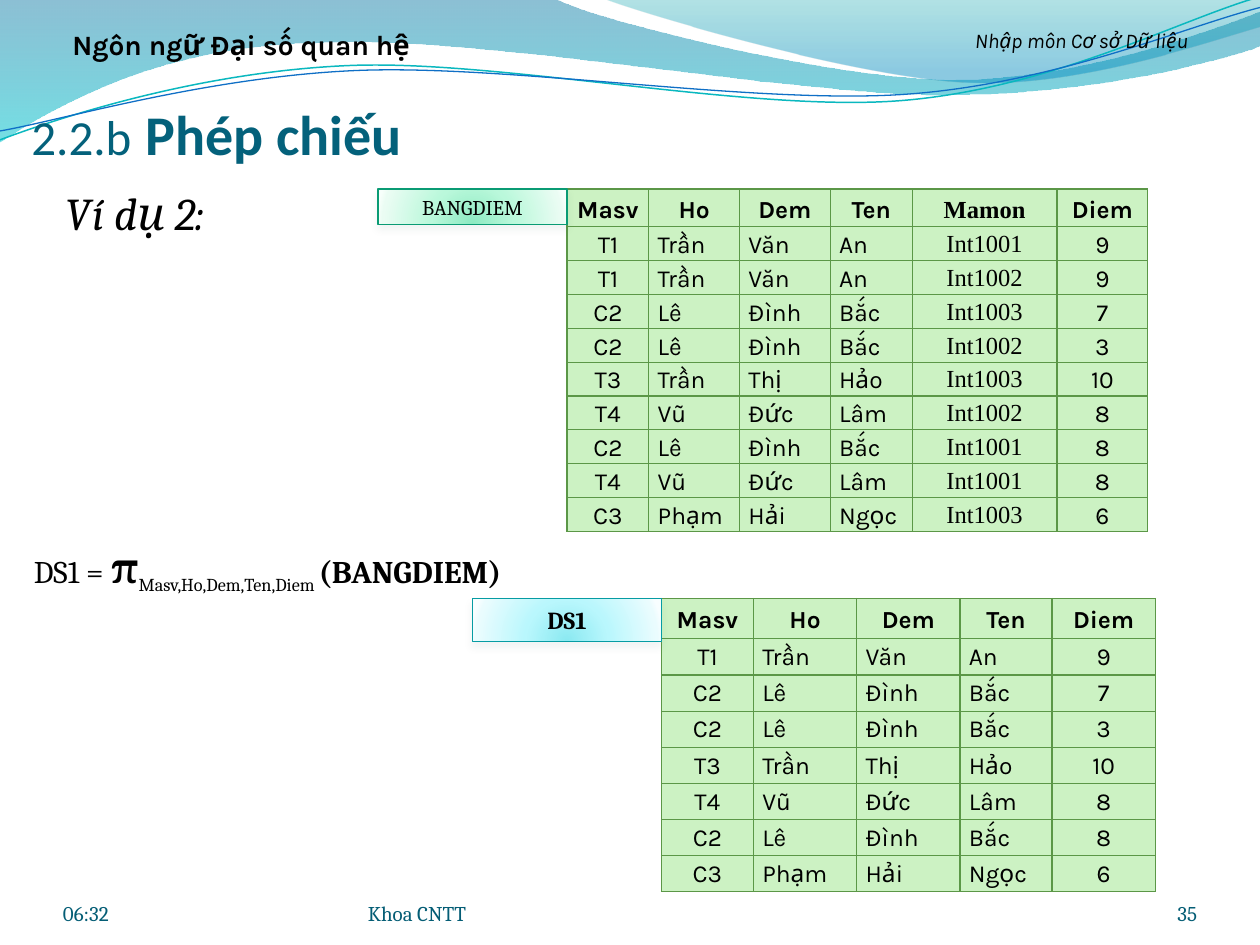
import math

import pptx
import pptx.dml.color
import pptx.enum.shapes
import pptx.enum.text
import pptx.oxml
import pptx.oxml.ns
import pptx.util

Inches, Pt = pptx.util.Inches, pptx.util.Pt
RGBColor = pptx.dml.color.RGBColor
ALIGN, ANCHOR = pptx.enum.text.PP_ALIGN, pptx.enum.text.MSO_ANCHOR
NS = pptx.oxml.ns.nsdecls("a")
qn = pptx.oxml.ns.qn

BLACK = RGBColor(0x00, 0x00, 0x00)
TITLE_TEAL = RGBColor(0x04, 0x61, 0x7B)
FOOTER_TEAL = RGBColor(0x04, 0x5D, 0x75)
CYAN_LINE = RGBColor(0x0A, 0xB8, 0xBF)
BLUE_LINE = RGBColor(0x0F, 0x6F, 0xC6)
CELL_GREEN = RGBColor(0xCC, 0xF2, 0xC3)
GRID_GREEN = RGBColor(0x5B, 0x97, 0x47)
LABEL_GREEN = RGBColor(0x0A, 0x9B, 0x74)
LABEL_CYAN = RGBColor(0x06, 0x9C, 0xA3)

# Wave steps: two numbers are a straight step, six are a cubic curve.
# Gradient stops: position %, colour, opacity %.
DOWN = '<a:lin ang="5400000" scaled="0"/>'
FROM_CENTRE = ('<a:path path="circle"><a:fillToRect l="50000" t="130000" '
               'r="50000" b="-30000"/></a:path>')
WAVE_BANDS = [
    ([(0, -0.01), (4.4, -0.01), (4.76, 0.17, 6.64, 0.63, 7.58, 0.63),
      (8.53, 0.63, 9.58, 0.26, 10, 0.09), (10.01, 0.36),
      (9.83, 0.44, 8.7, 0.76, 7.46, 0.75), (6.22, 0.75, 3.82, 0.28, 2.57, 0.34),
      (1.29, 0.35, 0.46, 0.83, -0.01, 1.13)],
     [(0, "0074A1", 45), (100, "00C6CF", 55)]),
    ([(4.79, -0.01), (5.09, 0.11, 6.82, 0.62, 7.69, 0.65),
      (8.56, 0.69, 9.61, 0.32, 10, 0.21), (10, 0)],
     [(0, "00A1A9", 30), (80, "008BBF", 45)]),
]
WAVE_TILT = 2.7
WAVE_LINES = [
    ([(0, 1.11), (0.48, 0.93, 1.58, 0.57, 2.77, 0.52),
      (3.95, 0.47, 5.93, 0.89, 7.13, 0.8), (8.33, 0.71, 9.38, 0.15, 9.98, -0.02)],
     (4.99, 0.58), CYAN_LINE, 0.85),
    ([(0, 1.04), (0.47, 0.96, 1.64, 0.61, 2.83, 0.56),
      (4.03, 0.51, 5.97, 0.83, 7.17, 0.75), (8.36, 0.67, 9.41, 0.21, 10, 0.06)],
     (5, 0.59), BLUE_LINE, 0.75),
]

# Runs: text, font, size, colour, styles (b bold, i italic, s subscript)
ALL_SIDES, NONE, TITLE_INSET = (0.1, 0.05, 0.1, 0.05), (0, 0, 0, 0), (0, 0.05, 0, 0)
TEXTS = [
    ((0.42, 1.42, 9.08, 5.58), ALIGN.LEFT, ANCHOR.TOP, ALL_SIDES,
     [("Ví dụ 2:", "Cambria", 26, BLACK, "i")]),
    ((0.5, 6.95, 2.33, 0.4), ALIGN.LEFT, ANCHOR.BOTTOM, NONE,
     [("06:32", "Cambria", 12, FOOTER_TEAL, "")]),
    ((8.67, 6.95, 0.83, 0.4), ALIGN.RIGHT, ANCHOR.BOTTOM, NONE,
     [("35", "Cambria", 12, FOOTER_TEAL, "")]),
    ((2.92, 6.95, 3.67, 0.4), ALIGN.LEFT, ANCHOR.BOTTOM, NONE,
     [("Khoa CNTT", "Cambria", 12, FOOTER_TEAL, "")]),
    ((7.17, 0.17, 2.83, 0.38), ALIGN.CENTER, ANCHOR.TOP, ALL_SIDES,
     [("Nhập môn Cơ sở Dữ liệu", "Karla", 12, BLACK, "i")]),
    ((0.25, 0.17, 3.33, 0.37), ALIGN.CENTER, ANCHOR.TOP, ALL_SIDES,
     [("Ngôn ngữ Đại số quan hệ", "Karla", 16, BLACK, "b")]),
    ((0.25, 0.75, 9.17, 0.58), ALIGN.LEFT, ANCHOR.BOTTOM, TITLE_INSET,
     [("2.2.b", "Calibri", 28, TITLE_TEAL, ""), (" ", "Calibri", 35, TITLE_TEAL, ""),
      ("Phép chiếu", "Calibri", 32, TITLE_TEAL, "b")]),
    ((0.17, 4.25, 4.42, 0.5), ALIGN.LEFT, ANCHOR.TOP, ALL_SIDES,
     [("DS1 = ", "Cambria", 18, BLACK, ""), ("π", "Cambria", 24, BLACK, "b"),
      ("Masv,Ho,Dem,Ten,Diem ", "Cambria", 18, BLACK, "s"),
      ("(BANGDIEM)", "Cambria", 18, BLACK, "b")]),
]

STUDENTS = {
    "T1": ("Trần", "Văn", "An"), "C2": ("Lê", "Đình", "Bắc"),
    "T3": ("Trần", "Thị", "Hảo"), "T4": ("Vũ", "Đức", "Lâm"),
    "C3": ("Phạm", "Hải", "Ngọc"),
}
MARKS = [("T1", "Int1001", "9"), ("T1", "Int1002", "9"), ("C2", "Int1003", "7"),
         ("C2", "Int1002", "3"), ("T3", "Int1003", "10"), ("T4", "Int1002", "8"),
         ("C2", "Int1001", "8"), ("T4", "Int1001", "8"), ("C3", "Int1003", "6")]
BANGDIEM = [("Masv", "Ho", "Dem", "Ten", "Mamon", "Diem")] + [
    (masv, *STUDENTS[masv], mamon, diem) for masv, mamon, diem in MARKS]
# The projection drops Mamon and keeps each distinct row once.
DS1 = list(dict.fromkeys(row[:4] + row[5:] for row in BANGDIEM))

# Left, top, column widths, header height, total height, rows
TABLES = [
    (4.5, 1.5, [0.65, 0.72, 0.72, 0.65, 1.15, 0.72], 0.3, 2.55, BANGDIEM),
    (5.25, 4.75, [0.73, 0.82, 0.82, 0.73, 0.82], 0.32, 2.33, DS1),
]
LABELS = [
    ((3, 1.5, 1.5, 0.28), LABEL_GREEN, "044A37",
     [(0, "8DEAC2", 100), (43, "BAF8DB", 100), (93, "EAFCF3", 100), (100, "F7FFFB", 100)],
     [("BANGDIEM", "Cambria", 12, BLACK, "")]),
    ((3.75, 4.75, 1.5, 0.34), LABEL_CYAN, "024B4E",
     [(0, "8BE9F1", 100), (43, "B9F7FD", 100), (93, "EAFCFE", 100), (100, "F8FEFF", 100)],
     [("DS1", "Cambria", 14, BLACK, "b")]),
]


def add_runs(paragraph, runs):
    for text, font, size, color, styles in runs:
        run = paragraph.add_run()
        run.text = text
        run.font.name, run.font.size = font, Pt(size)
        run.font.color.rgb = color
        run.font.bold, run.font.italic = "b" in styles, "i" in styles
        if "s" in styles:
            run.font._element.set("baseline", "-25000")


def fill_frame(frame, align, anchor, insets, runs):
    frame.word_wrap = True
    frame.vertical_anchor = anchor
    (frame.margin_left, frame.margin_top,
     frame.margin_right, frame.margin_bottom) = map(Inches, insets)
    frame.paragraphs[0].alignment = align
    add_runs(frame.paragraphs[0], runs)


def set_gradient(shape, stops, direction):
    shape.fill.background()
    stop_xml = "".join(
        f'<a:gs pos="{pos * 1000}"><a:srgbClr val="{color}">'
        f'<a:alpha val="{alpha * 1000}"/></a:srgbClr></a:gs>' for pos, color, alpha in stops)
    old_fill = shape._element.spPr.find(qn("a:noFill"))
    old_fill.getparent().replace(old_fill, pptx.oxml.parse_xml(
        f'<a:gradFill {NS} rotWithShape="1"><a:gsLst>{stop_xml}</a:gsLst>'
        f'{direction}</a:gradFill>'))


def add_wave(slide, steps, close, tilt=0, pivot=(0, 0)):
    """Draw the steps turned by tilt about pivot; the shape's rotation turns them back."""
    cos, sin = math.cos(math.radians(tilt)), math.sin(math.radians(tilt))
    points = []
    for step in steps:
        for x, y in zip(step[::2], step[1::2]):
            dx, dy = x - pivot[0], y - pivot[1]
            points.append((Inches(pivot[0] + dx * cos - dy * sin),
                           Inches(pivot[1] + dx * sin + dy * cos)))
    builder = slide.shapes.build_freeform(*points[0])
    builder.add_line_segments(points[1:], close=close)
    wave = builder.convert_to_shape()
    wave.shadow.inherit = False
    wave.rotation = -tilt
    # Join each three segments of a curved step into one cubic curve.
    segments = iter(list(wave._element.iter(qn("a:lnTo"))))
    for step in steps[1:]:
        first = next(segments)
        if len(step) == 6:
            first.tag = qn("a:cubicBezTo")
            for segment in (next(segments), next(segments)):
                first.append(segment[0])
                segment.getparent().remove(segment)
    return wave


def add_grid(slide, left, top, widths, header_height, total_height, rows):
    row_height = (total_height - header_height) / (len(rows) - 1)
    table = slide.shapes.add_table(
        len(rows), len(widths), Inches(left), Inches(top),
        Inches(sum(widths)), Inches(total_height)).table
    table.horz_banding = False
    for column, width in zip(table.columns, widths):
        column.width = Inches(width)
    for r, row in enumerate(rows):
        table.rows[r].height = Inches(row_height if r else header_height)
        for c, text in enumerate(row):
            cell = table.cell(r, c)
            cell.margin_left = cell.margin_right = Inches(0.07)
            cell.margin_top = cell.margin_bottom = 0
            cell.vertical_anchor = ANCHOR.TOP if r else ANCHOR.MIDDLE
            for side in ("lnL", "lnR", "lnT", "lnB"):
                cell._tc.get_or_add_tcPr().append(pptx.oxml.parse_xml(
                    f'<a:{side} {NS} w="9525"><a:solidFill><a:srgbClr val="{GRID_GREEN}"/>'
                    f'</a:solidFill></a:{side}>'))
            cell.fill.solid()
            cell.fill.fore_color.rgb = CELL_GREEN
            paragraph = cell.text_frame.paragraphs[0]
            is_name = r > 0 and rows[0][c] in ("Ho", "Dem", "Ten")
            paragraph.alignment = ALIGN.LEFT if is_name else ALIGN.CENTER
            paragraph.line_spacing = 1.15
            font = "Times New Roman" if rows[0][c] == "Mamon" else "Karla"
            add_runs(paragraph, [(text, font, 14, BLACK, "" if r else "b")])


def add_label(slide, box, line_color, shadow_color, stops, runs):
    label = slide.shapes.add_shape(
        pptx.enum.shapes.MSO_SHAPE.RECTANGLE, *map(Inches, box))
    set_gradient(label, stops, FROM_CENTRE)
    label.line.color.rgb, label.line.width = line_color, Pt(0.75)
    label._element.spPr.append(pptx.oxml.parse_xml(
        f'<a:effectLst {NS}><a:outerShdw blurRad="{Pt(4.5)}" dist="{Pt(3)}" dir="5400000" '
        f'rotWithShape="0"><a:srgbClr val="{shadow_color}"><a:alpha val="5000"/>'
        f'</a:srgbClr></a:outerShdw></a:effectLst>'))
    fill_frame(label.text_frame, ALIGN.CENTER, ANCHOR.MIDDLE, ALL_SIDES, runs)


def main():
    deck = pptx.Presentation()
    deck.slide_width, deck.slide_height = Inches(10), Inches(7.5)
    slide = deck.slides.add_slide(deck.slide_layouts[6])
    for steps, stops in WAVE_BANDS:
        band = add_wave(slide, steps, close=True)
        set_gradient(band, stops, DOWN)
        band.line.fill.background()
    for steps, pivot, color, width in WAVE_LINES:
        curve = add_wave(slide, steps, False, WAVE_TILT, pivot)
        curve.fill.background()
        curve.line.color.rgb, curve.line.width = color, Pt(width)
    for box, *content in TEXTS:
        fill_frame(slide.shapes.add_textbox(*map(Inches, box)).text_frame, *content)
    for grid, label in zip(TABLES, LABELS):
        add_grid(slide, *grid)
        add_label(slide, *label)
    deck.save("out.pptx")


if __name__ == "__main__":
    main()
